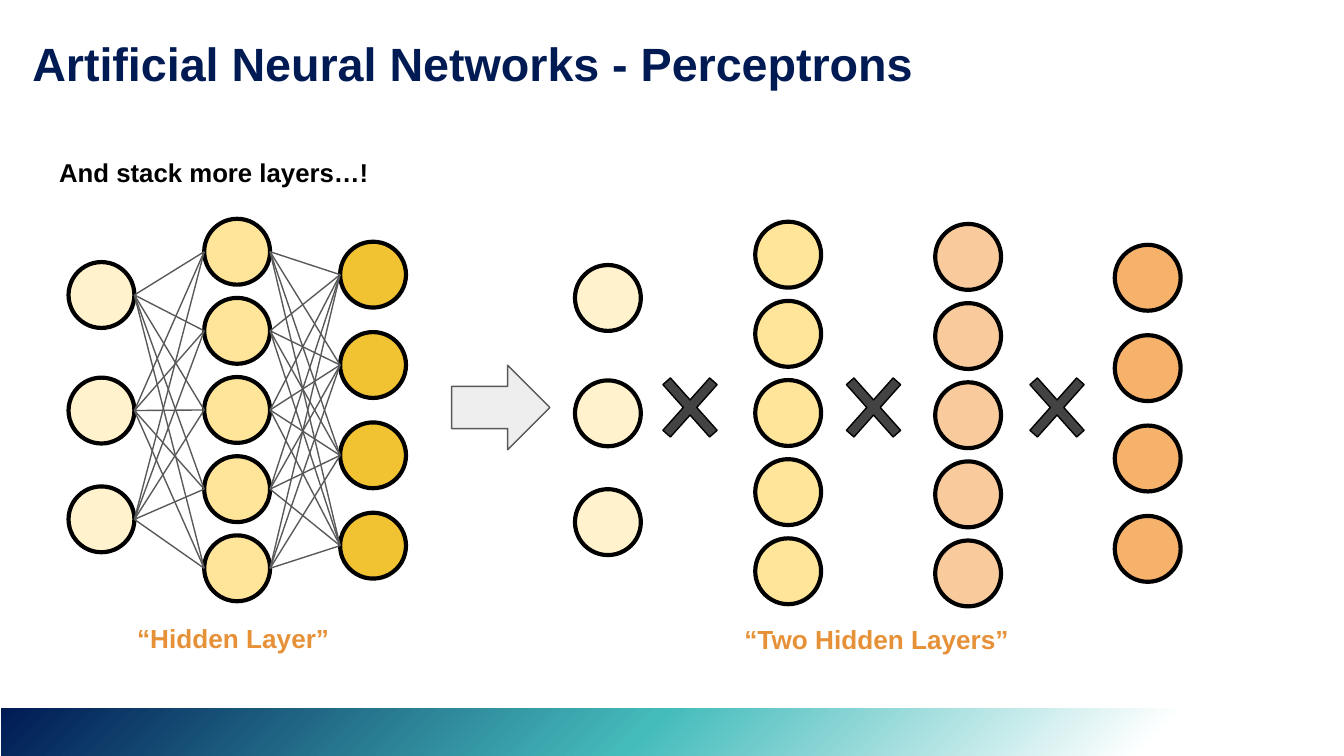
"""Build a slide that shows perceptron layers being stacked."""
import itertools

import pptx
import pptx.dml.color
import pptx.enum.shapes
import pptx.enum.text
import pptx.oxml
import pptx.oxml.ns
import pptx.util

Pt = pptx.util.Pt
SHAPES = pptx.enum.shapes.MSO_SHAPE
ANCHORS = pptx.enum.text.MSO_ANCHOR
FONT = "Arial"
NODE = 35.3
COLORS = {
    "navy": "001B54",
    "teal": "45BCBC",
    "white": "FFFFFF",
    "black": "000000",
    "label": "E69138",
    "edge": "595959",
    "arrow": "EEEEEE",
    "cross": "434343",
    "input": "FFF2CC",
    "hidden": "FFE599",
    "second": "F9CB9C",
    "output": "F1C232",
    "deep_output": "F6B26B",
}


def rgb(name):
    return pptx.dml.color.RGBColor.from_string(COLORS[name])


def write_text(box, text, size, color, anchor=ANCHORS.TOP, spacing=1.0):
    frame = box.text_frame
    frame.word_wrap = True
    frame.auto_size = pptx.enum.text.MSO_AUTO_SIZE.NONE
    frame.vertical_anchor = anchor
    frame.margin_left = frame.margin_right = Pt(7.2)
    frame.margin_top = frame.margin_bottom = Pt(7.2)
    para = frame.paragraphs[0]
    para.alignment = pptx.enum.text.PP_ALIGN.LEFT
    para.line_spacing = spacing
    para.space_before = Pt(0)
    span = para.add_run()
    span.text = text
    span.font.name = FONT
    span.font.size = Pt(size)
    span.font.bold = True
    span.font.color.rgb = rgb(color)


def set_title(slide, text):
    title = slide.shapes.title
    title.left, title.top = Pt(10.1), Pt(10.8)
    title.width, title.height = Pt(700), Pt(45.4)
    write_text(title, text, 25, "navy", ANCHORS.MIDDLE)


def add_label(slide, place, text, size, color, spacing=1.0):
    box = slide.shapes.add_textbox(*map(Pt, place))
    write_text(box, text, size, color, spacing=spacing)


def add_figure(slide, kind, place, fill, line, weight):
    figure = slide.shapes.add_shape(kind, *map(Pt, place))
    figure.shadow.inherit = False
    figure.fill.solid()
    figure.fill.fore_color.rgb = rgb(fill)
    figure.line.color.rgb = rgb(line)
    figure.line.width = Pt(weight)
    return figure


def add_footer_band(slide):
    band = slide.shapes.add_shape(SHAPES.RECTANGLE, Pt(0.6), Pt(379.4), Pt(720), Pt(26.6))
    band.shadow.inherit = False
    band.line.fill.background()
    stops = "".join(
        f'<a:gs pos="{position * 1000}"><a:srgbClr val="{COLORS[name]}"/></a:gs>'
        for position, name in [(0, "navy"), (48, "teal"), (85, "white"), (100, "white")]
    )
    gradient = pptx.oxml.parse_xml(
        f'<a:gradFill {pptx.oxml.ns.nsdecls("a")}><a:gsLst>{stops}</a:gsLst>'
        '<a:path path="circle"><a:fillToRect r="100000" b="100000"/></a:path></a:gradFill>'
    )
    properties = band.element.spPr
    properties.insert(2, gradient)
    properties.find(pptx.oxml.ns.qn("a:xfrm")).set("flipH", "1")


def spaced(first, step, count):
    return [first + step * index for index in range(count)]


def add_layer(slide, left, tops, fill):
    for top in tops:
        add_figure(slide, SHAPES.OVAL, (left, top, NODE, NODE), fill, "black", 2.25)


def add_edge(slide, start, end):
    edge = slide.shapes.add_connector(
        pptx.enum.shapes.MSO_CONNECTOR.STRAIGHT, *map(Pt, start + end)
    )
    edge.line.color.rgb = rgb("edge")
    edge.line.width = Pt(0.75)
    edge.element.spPr.append(
        pptx.oxml.parse_xml(f'<a:effectLst {pptx.oxml.ns.nsdecls("a")}/>')
    )


def connect_layers(slide, source, target):
    for start, end in itertools.product(source[1], target[1]):
        add_edge(
            slide,
            (source[0] + NODE, start + NODE / 2),
            (target[0], end + NODE / 2),
        )


def add_single_network(slide):
    layers = [
        (36.7, [140.4, 202.3, 260.6], "input"),
        (109.4, spaced(117.2, 42.4, 5), "hidden"),
        (182.2, spaced(129.5, 48.4, 4), "output"),
    ]
    for layer in layers:
        add_layer(slide, *layer)
    for source, target in zip(layers, layers[1:]):
        connect_layers(slide, source, target)


def add_deep_network(slide):
    layers = [
        (308, [142, 203.8, 262.1], "input"),
        (404.6, spaced(118.8, 42.4, 5), "hidden"),
        (501, spaced(120, 42.4, 5), "second"),
        (597.2, spaced(131.2, 48.4, 4), "deep_output"),
    ]
    for layer in layers:
        add_layer(slide, *layer)
    for left in spaced(345.6, 98.3, 3):
        cross = add_figure(
            slide, SHAPES.MATH_MULTIPLY, (left, 191.3, 48.2, 54), "cross", "black", 0.75
        )
        cross.adjustments[0] = 0.112


def main():
    deck = pptx.Presentation()
    deck.slide_width, deck.slide_height = Pt(720), Pt(405)
    slide = deck.slides.add_slide(deck.slide_layouts[5])
    add_footer_band(slide)
    set_title(slide, "Artificial Neural Networks - Perceptrons")
    add_label(slide, (24.6, 77.8, 671, 30.2), "And stack more layers…!", 13.8, "black", 0.95)
    add_single_network(slide)
    add_label(slide, (66.4, 326.2, 121.7, 28.1), "“Hidden Layer”", 14, "label")
    add_figure(slide, SHAPES.RIGHT_ARROW, (242, 195.7, 52.6, 45.2), "arrow", "edge", 0.75)
    add_deep_network(slide)
    add_label(slide, (391.7, 326.9, 185.8, 28.1), "“Two Hidden Layers”", 14, "label")
    deck.save("out.pptx")


if __name__ == "__main__":
    main()
